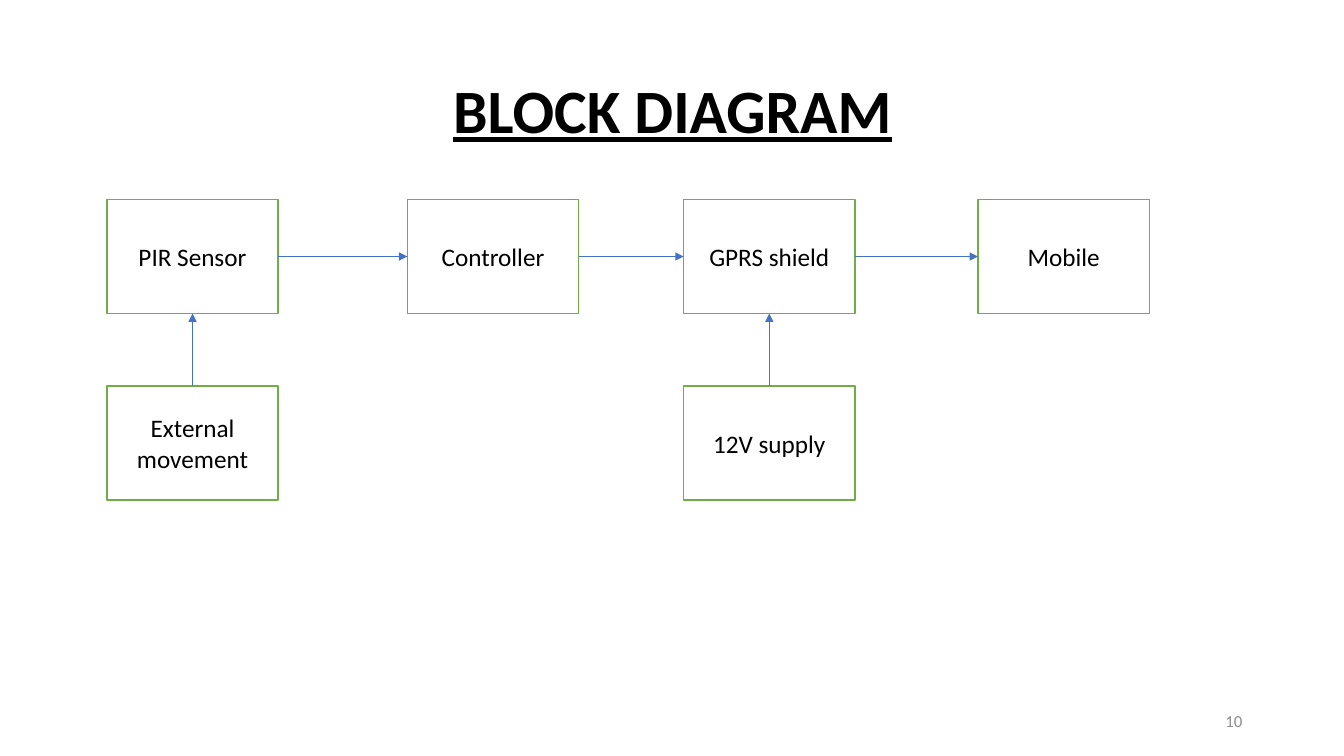
from dataclasses import dataclass

from lxml.etree import SubElement
from pptx import Presentation
from pptx.dml.color import RGBColor
from pptx.enum.shapes import MSO_CONNECTOR, MSO_SHAPE
from pptx.enum.text import MSO_ANCHOR, PP_ALIGN
from pptx.oxml.ns import qn
from pptx.shapes.autoshape import Shape
from pptx.slide import Slide
from pptx.util import Inches, Pt

COLORS = {"white": "FFFFFF", "text": "000000", "number": "8C8C8C", "border": "70AD47", "arrow": "4472C4"}
FONT = "Calibri"
COLUMNS = (1.06, 4.04, 6.78, 9.7)
ROWS = (1.98, 3.83)
BOX_WIDTH, BOX_HEIGHT = 1.7, 1.13
TOP, LEFT, BOTTOM, RIGHT = range(4)


@dataclass(frozen=True)
class Block:
    label: str
    column: int
    row: int


@dataclass(frozen=True)
class Link:
    source: str
    source_side: int
    target: str
    target_side: int


@dataclass(frozen=True)
class Caption:
    text: str
    left: float
    top: float
    width: float
    height: float
    size: int
    color: str
    align: PP_ALIGN
    heading: bool = False


BLOCKS = (
    Block("PIR Sensor", 0, 0),
    Block("Controller", 1, 0),
    Block("GPRS shield", 2, 0),
    Block("Mobile", 3, 0),
    Block("External movement", 0, 1),
    Block("12V supply", 2, 1),
)
LINKS = (
    Link("PIR Sensor", RIGHT, "Controller", LEFT),
    Link("Controller", RIGHT, "GPRS shield", LEFT),
    Link("GPRS shield", RIGHT, "Mobile", LEFT),
    Link("External movement", TOP, "PIR Sensor", BOTTOM),
    Link("12V supply", TOP, "GPRS shield", BOTTOM),
)
CAPTIONS = (
    Caption("BLOCK DIAGRAM", 0.92, 0.4, 11.5, 1.45, 44, "text", PP_ALIGN.CENTER, True),
    Caption("10", 9.42, 6.95, 3, 0.4, 12, "number", PP_ALIGN.RIGHT),
)


def rgb(name: str) -> RGBColor:
    return RGBColor.from_string(COLORS[name])


def write(s: Shape, text: str, size: int, color: str, align: PP_ALIGN, heading: bool = False) -> None:
    tf = s.text_frame
    tf.word_wrap = True
    tf.vertical_anchor = MSO_ANCHOR.MIDDLE
    p = tf.paragraphs[0]
    p.text = text
    p.alignment = align
    p.font.name = FONT
    p.font.size = Pt(size)
    p.font.color.rgb = rgb(color)
    if heading:
        p.font.bold = True
        p.font.underline = True
        p.line_spacing = 0.9


def add_caption(slide: Slide, c: Caption) -> None:
    s = slide.shapes.add_textbox(Inches(c.left), Inches(c.top), Inches(c.width), Inches(c.height))
    write(s, c.text, c.size, c.color, c.align, c.heading)


def add_block(slide: Slide, block: Block) -> Shape:
    s = slide.shapes.add_shape(
        MSO_SHAPE.RECTANGLE,
        Inches(COLUMNS[block.column]),
        Inches(ROWS[block.row]),
        Inches(BOX_WIDTH),
        Inches(BOX_HEIGHT),
    )
    s.shadow.inherit = False
    s.fill.solid()
    s.fill.fore_color.rgb = rgb("white")
    s.line.color.rgb = rgb("border")
    s.line.width = Pt(1)
    write(s, block.label, 18, "text", PP_ALIGN.CENTER)
    return s


def add_link(slide: Slide, link: Link, boxes: dict[str, Shape]) -> None:
    s = slide.shapes.add_connector(MSO_CONNECTOR.STRAIGHT, 0, 0, 0, 0)
    s.begin_connect(boxes[link.source], link.source_side)
    s.end_connect(boxes[link.target], link.target_side)
    s.line.color.rgb = rgb("arrow")
    s.line.width = Pt(0.5)
    SubElement(s.line._get_or_add_ln(), qn("a:tailEnd"), type="triangle")
    SubElement(s._element.spPr, qn("a:effectLst"))


def main() -> None:
    """Build the block diagram slide and save it."""
    prs = Presentation()
    prs.slide_width, prs.slide_height = Inches(13.33), Inches(7.5)
    slide = prs.slides.add_slide(prs.slide_layouts[6])
    for caption in CAPTIONS:
        add_caption(slide, caption)
    boxes = {block.label: add_block(slide, block) for block in BLOCKS}
    for link in LINKS:
        add_link(slide, link, boxes)
    prs.save("out.pptx")


if __name__ == "__main__":
    main()
